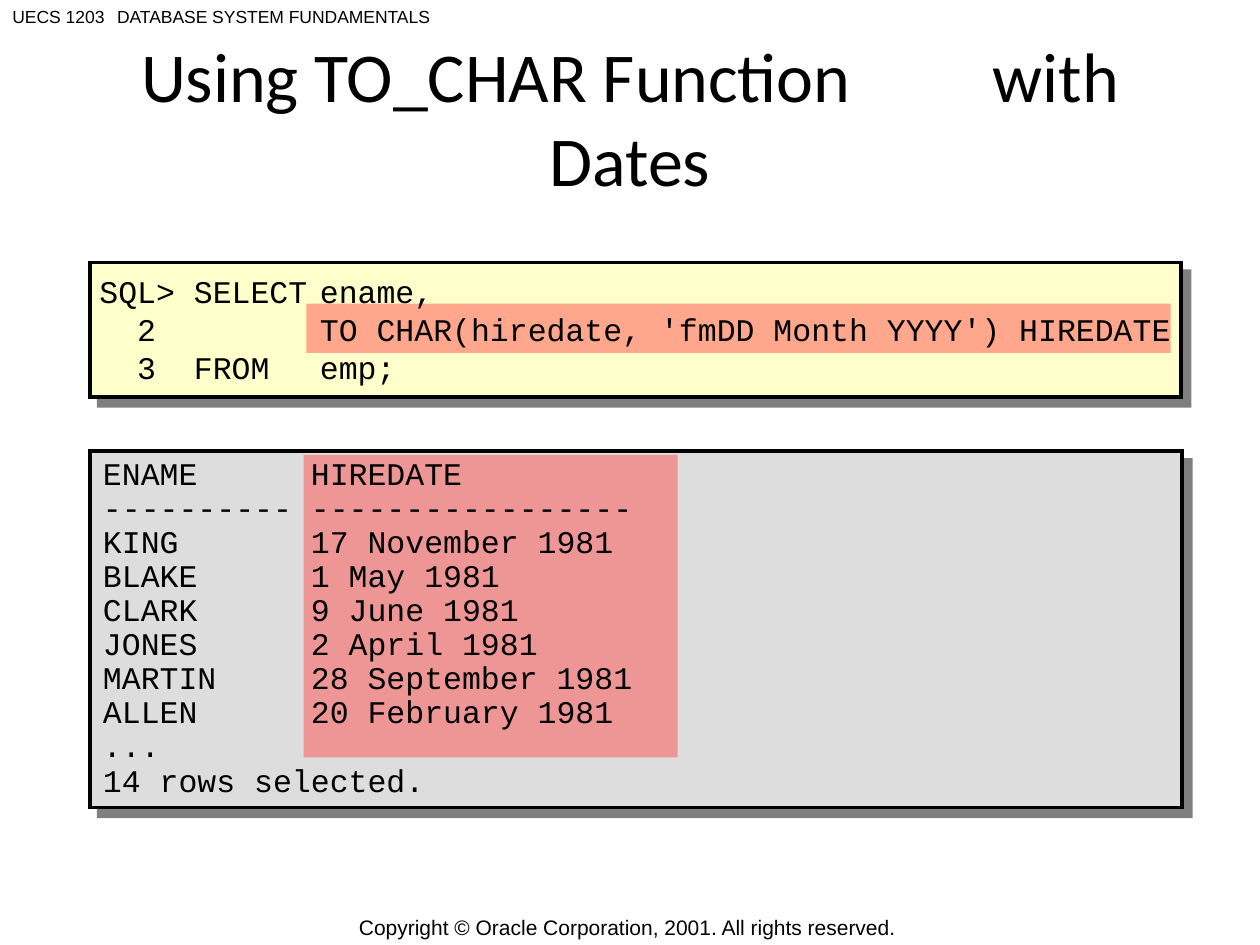
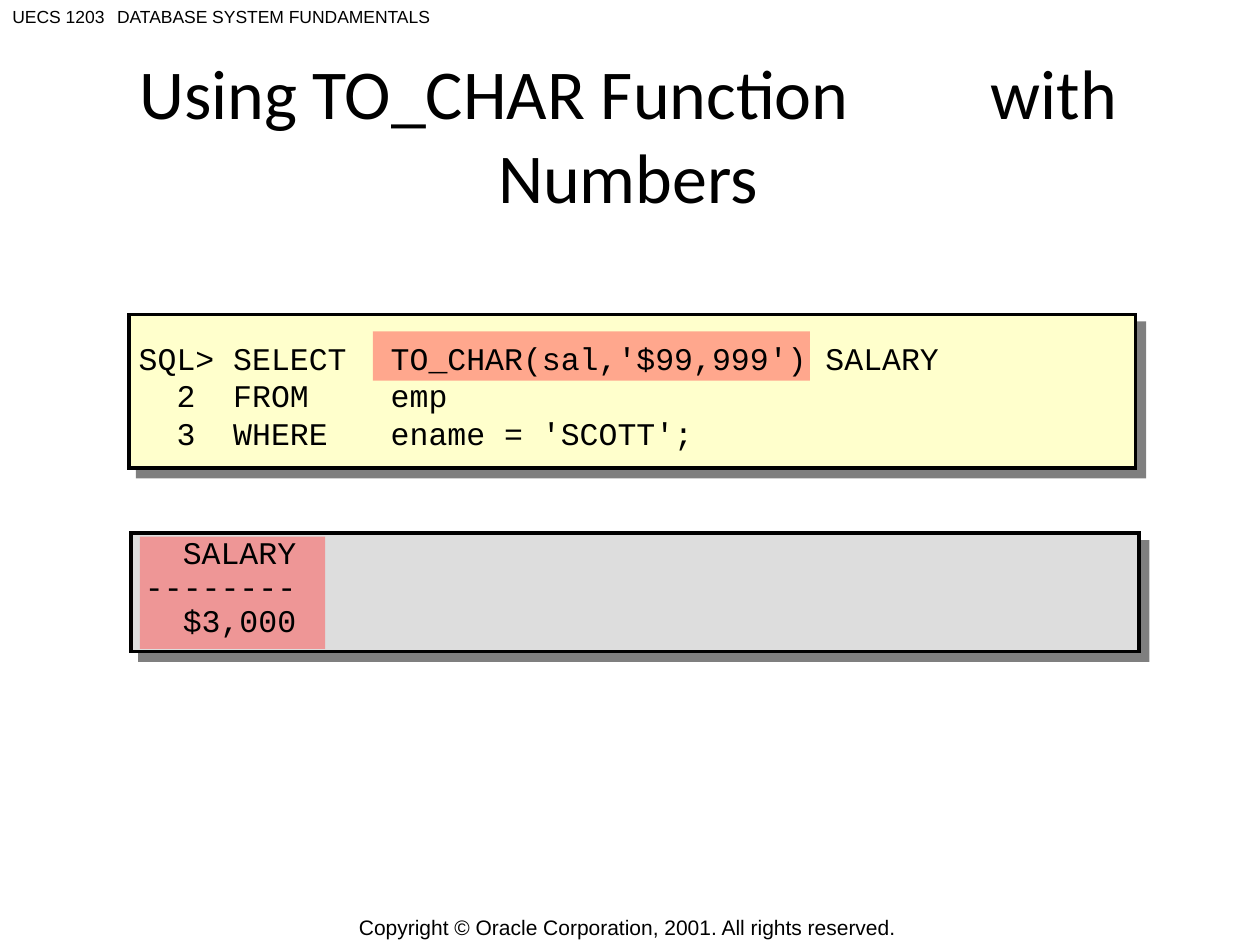
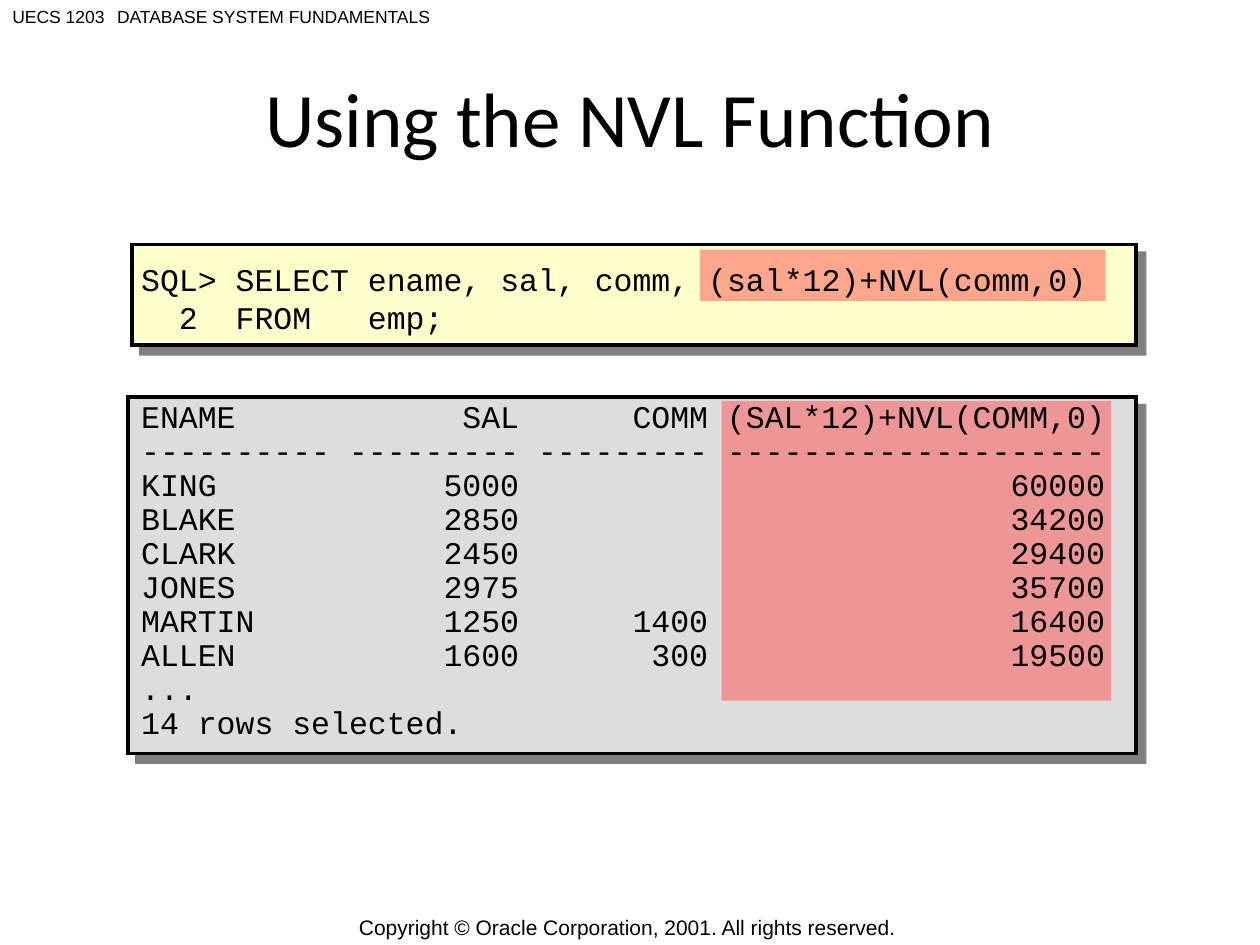
from lxml.etree import SubElement
from pptx import Presentation
from pptx.dml.color import RGBColor
from pptx.enum.shapes import MSO_SHAPE
from pptx.enum.text import MSO_ANCHOR, MSO_AUTO_SIZE, PP_ALIGN
from pptx.oxml import parse_xml
from pptx.oxml.ns import nsdecls, qn
from pptx.util import Pt

BLACK = RGBColor(0x00, 0x00, 0x00)
CODE_FILL = RGBColor(0xFF, 0xFF, 0xCC)
RESULT_FILL = RGBColor(0xDD, 0xDD, 0xDD)
HIGHLIGHT = RGBColor(0xFF, 0x50, 0x50)

HEADER_FONT = {"name": "Arial", "size": Pt(10)}
FOOTER_FONT = {"name": "Arial", "size": Pt(12)}
CODE_FONT = {"name": "Courier New", "size": Pt(18)}
CHAR = 10.8
TITLE_GAP = 72
SHADOW = (
    f'<a:effectLst {nsdecls("a")}><a:outerShdw dist="90000" dir="2700000" algn="ctr" rotWithShape="0">'
    '<a:srgbClr val="000000"><a:alpha val="50000"/></a:srgbClr></a:outerShdw></a:effectLst>'
)

SLIDES = [
    {
        "title": ("Using TO_CHAR Function", "with Dates"),
        "title_size": 40,
        "title_at": (36, 21.6, 648, 90),
        "code_panel": (51.4, 150, 623.5, 77),
        "result_panel": (51.4, 257.8, 624.2, 203.8),
        "highlights": [(175, 173.5, 494, 28.1), (173.5, 260, 213.8, 172.8)],
        "code_at": (49.7, 134.6, 630, 106.6),
        "code_stops": [(5 * CHAR, "l"), (126, "l")],
        "code": [
            "SQL> SELECT\tename,",
            "  2\t\tTO CHAR(hiredate, 'fmDD Month YYYY') HIREDATE",
            "  3\tFROM\temp;",
        ],
        "result_at": (51.8, 258.5, 571.7, 201.6),
        "result_stops": [(11 * CHAR, "l")],
        "result": [
            "ENAME\tHIREDATE",
            "----------\t-----------------",
            "KING\t17 November 1981",
            "BLAKE\t1 May 1981",
            "CLARK\t9 June 1981",
            "JONES\t2 April 1981",
            "MARTIN\t28 September 1981",
            "ALLEN\t20 February 1981",
            "...",
            "14 rows selected.",
        ],
    },
    {
        "title": ("Using TO_CHAR Function", "with Numbers"),
        "title_size": 40,
        "title_at": (54.7, 41.8, 608.4, 69.1),
        "code_panel": (73.7, 179.6, 575.3, 87.8),
        "result_panel": (74.9, 304.6, 576, 67.7),
        "highlights": [(213.1, 189.4, 249.8, 28.1), (80, 306.7, 105.8, 64.1)],
        "code_at": (72.2, 169.4, 577.4, 113),
        "code_stops": [(5 * CHAR, "l"), (144, "l")],
        "code": [
            "SQL> SELECT\tTO_CHAR(sal,'$99,999') SALARY",
            "  2\tFROM\temp",
            "  3\tWHERE\tename = 'SCOTT';",
        ],
        "result_at": (75.8, 303.4, 571.7, 65.5),
        "result_stops": [],
        "result": ["  SALARY", "--------", "  $3,000"],
    },
    {
        "title": ("Using the NVL Function",),
        "title_size": 44,
        "title_at": (36, 21.6, 648, 90),
        "code_panel": (75.4, 139.7, 573.8, 57.6),
        "result_panel": (73.2, 226.8, 576, 203.8),
        "highlights": [(400, 142.6, 231.8, 29.5), (412.4, 229, 222.5, 171.4)],
        "code_at": (73.6, 131.2, 576, 78.5),
        "code_stops": [(5 * CHAR, "l"), (12 * CHAR, "l")],
        "code": [
            "SQL> SELECT ename, sal, comm, (sal*12)+NVL(comm,0)",
            "  2\tFROM\temp;",
        ],
        "result_at": (73.6, 225.8, 573.8, 201.6),
        "result_stops": [(20 * CHAR, "r"), (30 * CHAR, "r"), (51 * CHAR, "r")],
        "result": [
            "ENAME\tSAL\tCOMM\t(SAL*12)+NVL(COMM,0)",
            "----------\t---------\t---------\t--------------------",
            "KING\t5000\t\t60000",
            "BLAKE\t2850\t\t34200",
            "CLARK\t2450\t\t29400",
            "JONES\t2975\t\t35700",
            "MARTIN\t1250\t1400\t16400",
            "ALLEN\t1600\t300\t19500",
            "...",
            "14 rows selected.",
        ],
    },
]


def add_rect(page, place, color):
    rect = page.shapes.add_shape(MSO_SHAPE.RECTANGLE, *map(Pt, place))
    rect.shadow.inherit = False
    rect.fill.solid()
    rect.fill.fore_color.rgb = color
    rect.line.fill.background()
    return rect


def add_text(page, place, lines, font, frame_format, stops=(), spacing=None):
    box = page.shapes.add_textbox(*map(Pt, place))
    for name, value in frame_format.items():
        setattr(box.text_frame, name, value)
    for index, line in enumerate(lines):
        para = box.text_frame.add_paragraph() if index else box.text_frame.paragraphs[0]
        if stops:
            tabs = SubElement(para._p.get_or_add_pPr(), qn("a:tabLst"))
            for position, side in stops:
                SubElement(tabs, qn("a:tab"), pos=str(int(Pt(position))), algn=side)
        para.line_spacing = spacing
        span = para.add_run()
        span.text = line
        span.font.color.rgb = BLACK
        for name, value in font.items():
            setattr(span.font, name, value)
    return box


deck = Presentation()
deck.slide_width, deck.slide_height = Pt(720), Pt(540)
layout = deck.slide_layouts[5]

TOP_WRAPPED = {"word_wrap": True, "vertical_anchor": MSO_ANCHOR.TOP}
MIDDLE_UNWRAPPED = {"word_wrap": False, "vertical_anchor": MSO_ANCHOR.MIDDLE}
TITLE_FRAME = {"word_wrap": True, "vertical_anchor": MSO_ANCHOR.MIDDLE, "auto_size": MSO_AUTO_SIZE.NONE}
SHARED_TEXTS = [
    ((0, 0, 77.8, 19.4), "UECS 1203", HEADER_FONT, TOP_WRAPPED),
    ((59.8, 0, 228.2, 19.4), "DATABASE SYSTEM FUNDAMENTALS", HEADER_FONT, TOP_WRAPPED),
    ((198, 522, 323.3, 15.1), "Copyright © Oracle Corporation, 2001. All rights reserved.",
     FOOTER_FONT, MIDDLE_UNWRAPPED),
]

for number, content in enumerate(SLIDES):
    page = deck.slides.add_slide(layout)
    if number == 0:
        for place, text, font, frame_format in SHARED_TEXTS:
            shared = add_text(page, place, [text], font, frame_format)
            layout.shapes.element.append(shared.element)

    title = page.shapes.title
    title.left, title.top, title.width, title.height = map(Pt, content["title_at"])
    for name, value in TITLE_FRAME.items():
        setattr(title.text_frame, name, value)
    para = title.text_frame.paragraphs[0]
    para.alignment = PP_ALIGN.CENTER
    for index, text in enumerate(content["title"]):
        for piece in ([" ", text] if index else [text]):
            span = para.add_run()
            span.text = piece
            span.font.color.rgb = BLACK
            for name, value in {"name": "Calibri", "size": Pt(content["title_size"])}.items():
                setattr(span.font, name, value)
            if piece == " ":
                span.font._element.set("spc", str(TITLE_GAP * 100))

    for key, color in (("code_panel", CODE_FILL), ("result_panel", RESULT_FILL)):
        panel = add_rect(page, content[key], color)
        panel.line.color.rgb = BLACK
        panel.line.width = Pt(2)
        properties = panel.element.spPr
        SubElement(properties.find(qn("a:ln")), qn("a:miter"), lim="800000")
        properties.remove(properties.find(qn("a:effectLst")))
        properties.append(parse_xml(SHADOW))

    for place in content["highlights"]:
        mark = add_rect(page, place, HIGHLIGHT)
        color = mark.element.spPr.find(f'{qn("a:solidFill")}/{qn("a:srgbClr")}')
        SubElement(color, qn("a:alpha"), val="50000")

    add_text(page, content["code_at"], content["code"], CODE_FONT, MIDDLE_UNWRAPPED, content["code_stops"])
    add_text(page, content["result_at"], content["result"], CODE_FONT, TOP_WRAPPED,
             content["result_stops"], 0.9)

deck.save("out.pptx")
